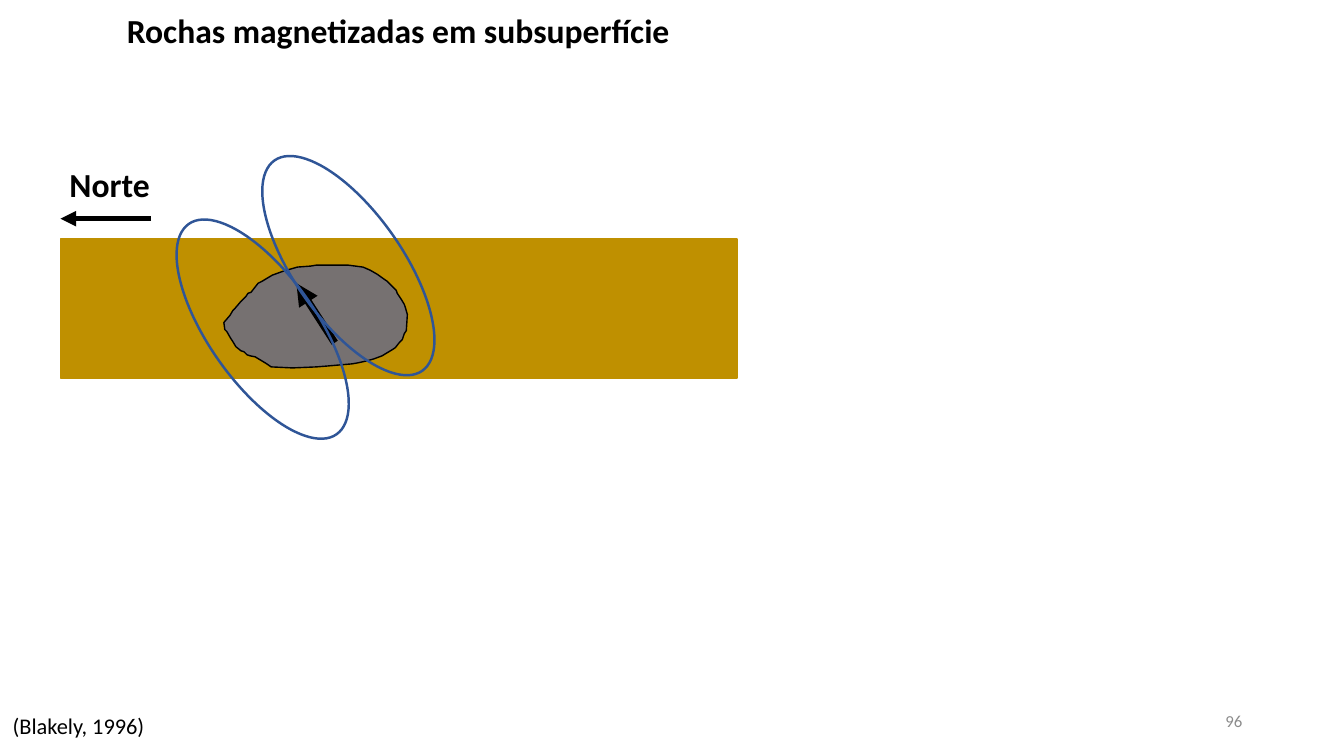
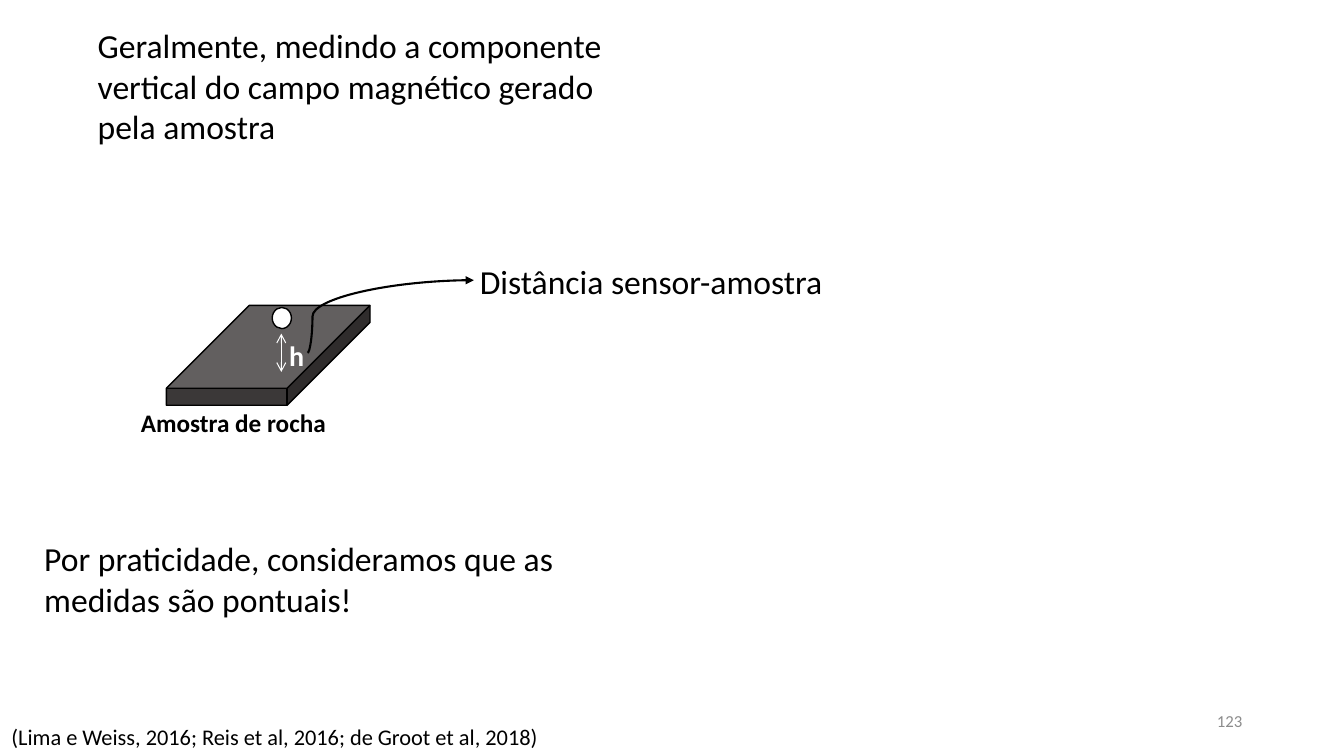
from lxml import etree
from pptx import Presentation
from pptx.dml.color import RGBColor
from pptx.enum.shapes import MSO_CONNECTOR as Connector, MSO_SHAPE as Shape
from pptx.enum.text import MSO_ANCHOR as Anchor, PP_ALIGN as Align
from pptx.oxml.ns import qn
from pptx.util import Inches, Pt

FONT = "Calibri"
BLACK = "000000"
WHITE = "FFFFFF"
SOIL = "BF9000"
ROCK = "767171"
SAMPLE = "3B3838"
FIELD = "2F5597"
PAGE_GREY = "8C8C8C"

HEADING = {"size": Pt(24), "bold": True}
BODY = {"size": Pt(24)}
CAPTION = {"size": Pt(18), "bold": True}
SYMBOL = {"size": Pt(20), "bold": True}
CITATION = {"size": Pt(16)}
PAGE_NUMBER = {"size": Pt(12)}

# Outline of the buried rock, in hundredths of an inch
ROCK_OUTLINE = [
    (222, 320), (228, 313), (231, 308), (233, 306), (239, 299), (241, 297),
    (244, 294), (246, 291), (249, 290), (256, 281), (260, 279), (270, 273),
    (281, 269), (295, 265), (308, 264), (314, 263), (345, 263), (360, 265),
    (367, 268), (374, 272), (381, 277), (384, 279), (389, 284), (393, 288),
    (394, 291), (398, 297), (401, 302), (402, 305), (404, 312), (403, 328),
    (401, 331), (399, 337), (396, 340), (392, 345), (389, 347), (384, 350),
    (379, 353), (371, 356), (364, 358), (355, 360), (349, 361), (326, 363),
    (314, 364), (290, 365), (269, 364), (263, 360), (258, 357), (253, 354),
    (248, 353), (245, 352), (242, 349), (239, 348), (234, 344), (231, 339),
    (229, 336), (225, 329), (223, 327),
]


def rgb(value):
    return RGBColor.from_string(value)


def paint(shape, fill, line, width):
    """Set fill (None for hollow) and outline, and remove the shadow."""
    shape.shadow.inherit = False
    if fill:
        shape.fill.solid()
        shape.fill.fore_color.rgb = rgb(fill)
    else:
        shape.fill.background()
    shape.line.color.rgb = rgb(line)
    shape.line.width = Pt(width)


def add_figure(slide, kind, box, fill=None, line=BLACK, width=1, rotation=0):
    shape = slide.shapes.add_shape(kind, *map(Inches, box))
    paint(shape, fill, line, width)
    shape.rotation = rotation
    return shape


def add_outline(slide, points, fill):
    builder = slide.shapes.build_freeform(*points[0], scale=Inches(0.01))
    builder.add_line_segments(points[1:], close=True)
    paint(builder.convert_to_shape(), fill, BLACK, 1)


def add_arrow(slide, start, end, width, color=BLACK, head=None,
              tail="triangle", kind=Connector.STRAIGHT):
    connector = slide.shapes.add_connector(kind, *map(Inches, start + end))
    connector.line.color.rgb = rgb(color)
    connector.line.width = Pt(width)
    line = connector.line._get_or_add_ln()
    for tag, style in (("a:headEnd", head), ("a:tailEnd", tail)):
        if style:
            etree.SubElement(line, qn(tag), type=style)
    etree.SubElement(connector._element.spPr, qn("a:effectLst"))
    return connector


def bend(connector, ratio):
    """Place the turn of a curved connector at a share of its width."""
    geometry = connector._element.spPr.find(qn("a:prstGeom"))
    guides = geometry.find(qn("a:avLst"))
    if guides is None:
        guides = etree.SubElement(geometry, qn("a:avLst"))
    etree.SubElement(guides, qn("a:gd"), name="adj1",
                     fmla=f"val {round(ratio * 100000)}")


def add_text(slide, text, box, style, color=BLACK, align=Align.LEFT,
             anchor=Anchor.TOP):
    frame = slide.shapes.add_textbox(*map(Inches, box)).text_frame
    frame.word_wrap = True
    frame.vertical_anchor = anchor
    paragraph = frame.paragraphs[0]
    paragraph.alignment = align
    run = paragraph.add_run()
    run.text = text
    run.font.name = FONT
    run.font.color.rgb = rgb(color)
    for name, value in style.items():
        setattr(run.font, name, value)


def add_slide(presentation, number, citation, citation_box):
    """Add a blank slide with its citation and page number."""
    slide = presentation.slides.add_slide(presentation.slide_layouts[6])
    add_text(slide, citation, citation_box, CITATION, align=Align.CENTER)
    add_text(slide, str(number), (9.42, 6.95, 3, 0.4), PAGE_NUMBER,
             PAGE_GREY, Align.RIGHT, Anchor.MIDDLE)
    return slide


def build_buried_rock(presentation):
    slide = add_slide(presentation, 96, "(Blakely, 1996)",
                      (-0.02, 7.02, 1.6, 0.37))
    add_text(slide, "Rochas magnetizadas em subsuperfície",
             (1.16, 0.05, 5.75, 0.5), HEADING)
    add_figure(slide, Shape.RECTANGLE, (0.6, 2.37, 6.71, 1.38), SOIL, SOIL)
    add_outline(slide, ROCK_OUTLINE, ROCK)
    add_arrow(slide, (3.32, 3.4), (2.94, 2.81), 5.25)
    add_text(slide, "Norte", (0.59, 1.58, 1.16, 0.5), HEADING)
    add_arrow(slide, (1.5, 2.17), (0.6, 2.17), 3.75)
    for left, top in ((2.07, 1.99), (2.92, 1.36)):
        add_figure(slide, Shape.OVAL, (left, top, 1.07, 2.55),
                   line=FIELD, width=1.75, rotation=144.9)


def build_sample_measurement(presentation):
    slide = add_slide(
        presentation, 123,
        "(Lima e Weiss, 2016; Reis et al, 2016; de Groot et al, 2018)",
        (-0.11, 7.13, 5.67, 0.37))
    add_text(slide, "Geralmente, medindo a componente vertical do campo "
             "magnético gerado pela amostra", (0.87, 0.2, 5.42, 1.31), BODY)

    sample = add_figure(slide, Shape.CUBE, (1.65, 3.03, 2.02, 0.99), SAMPLE)
    sample.adjustments[0] = 0.83
    add_figure(slide, Shape.OVAL, (2.7, 3.05, 0.19, 0.21), WHITE)
    add_arrow(slide, (2.79, 3.31), (2.79, 3.69), 0.75, WHITE,
              head="arrow", tail="arrow")
    add_text(slide, "h", (2.77, 3.31, 0.36, 0.44), SYMBOL, WHITE)
    add_text(slide, "Amostra de rocha", (1.3, 3.99, 2.13, 0.4), CAPTION)

    pointer = add_arrow(slide, (3.05, 3.5), (4.7, 2.78), 1.5,
                        kind=Connector.CURVE)
    bend(pointer, 0.03)
    add_text(slide, "Distância sensor-amostra", (4.66, 2.54, 3.95, 0.5), BODY)
    add_text(slide, "Por praticidade, consideramos que as medidas são "
             "pontuais!", (0.34, 5.29, 5.42, 0.91), BODY)


def main():
    presentation = Presentation()
    presentation.slide_width = Inches(13.33)
    presentation.slide_height = Inches(7.5)
    build_buried_rock(presentation)
    build_sample_measurement(presentation)
    presentation.save("out.pptx")


if __name__ == "__main__":
    main()
